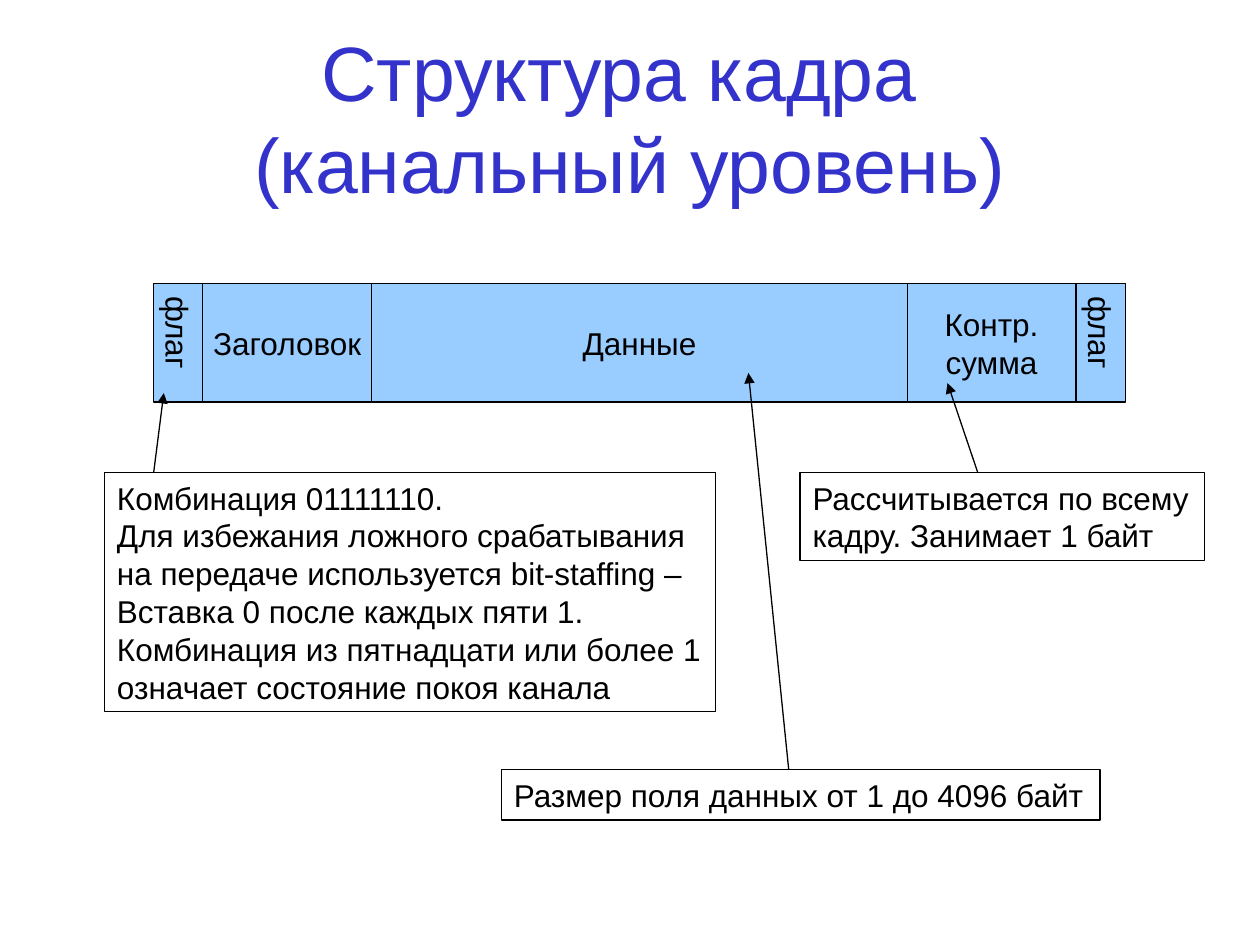
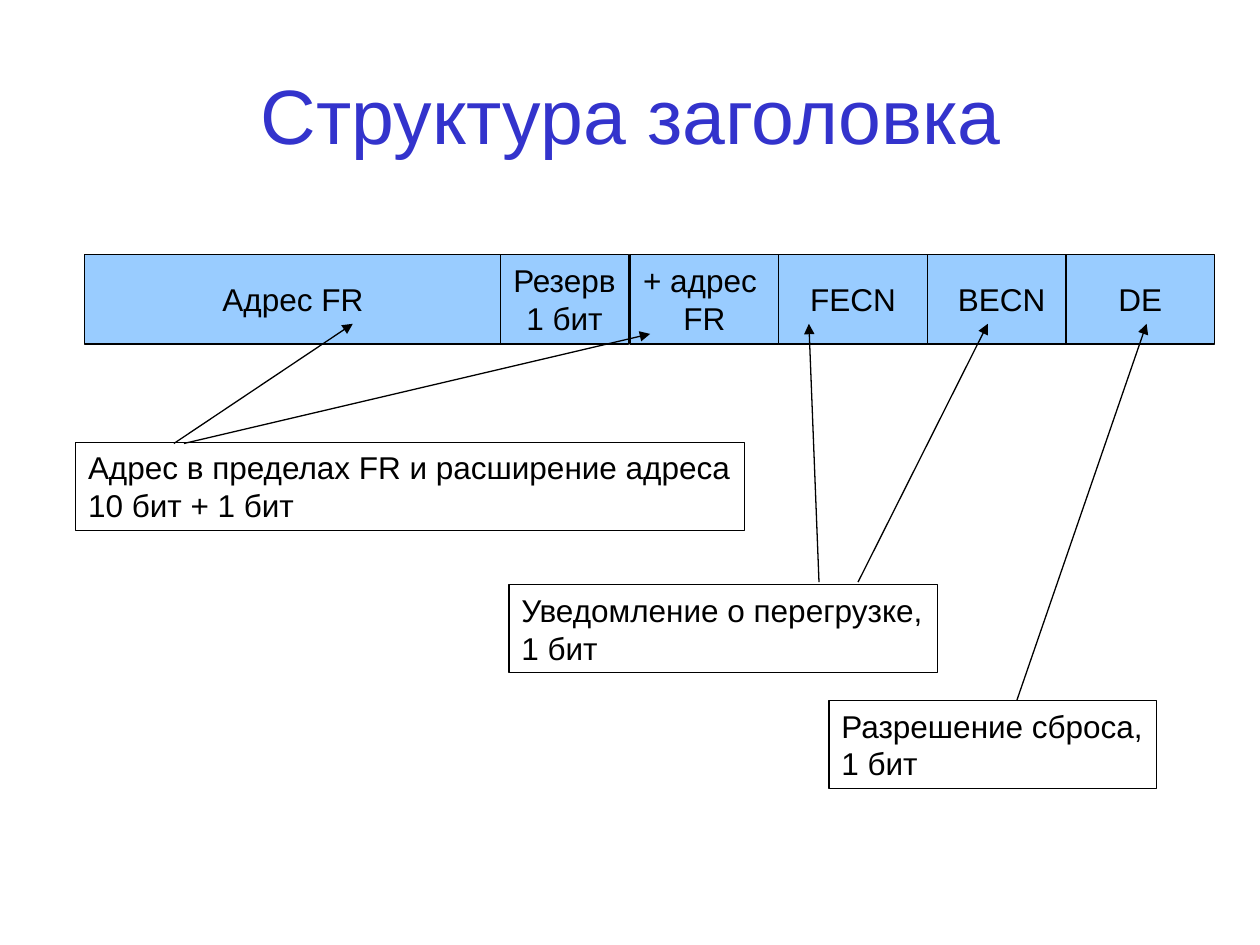
from pptx import Presentation
from pptx.dml.color import RGBColor
from pptx.enum.shapes import MSO_CONNECTOR, MSO_SHAPE
from pptx.enum.text import MSO_ANCHOR, MSO_AUTO_SIZE, PP_ALIGN
from pptx.oxml.ns import qn
from pptx.util import Inches, Pt
from lxml.etree import SubElement

TITLE_BLUE = RGBColor(0x33, 0x33, 0xCC)
FIELD_BLUE = RGBColor(0x99, 0xCC, 0xFF)
BLACK = RGBColor(0, 0, 0)
FONT_NAME = "Arial"
LINE_WIDTH = Pt(0.75)
LINE_HEIGHT = 0.3
TITLE_ONLY_LAYOUT = 5


def write_text(text_frame, text, size, color, alignment):
    text_frame.text = text
    for paragraph in text_frame.paragraphs:
        paragraph.alignment = alignment
        paragraph.font.name = FONT_NAME
        paragraph.font.size = Pt(size)
        paragraph.font.color.rgb = color


def add_titled_slide(presentation, title, left, top):
    slide = presentation.slides.add_slide(presentation.slide_layouts[TITLE_ONLY_LAYOUT])
    shape = slide.shapes.title
    shape.left, shape.top = Inches(left), Inches(top)
    shape.width, shape.height = Inches(9), Inches(1.25)
    shape.text_frame.auto_size = MSO_AUTO_SIZE.NONE
    shape.text_frame.vertical_anchor = MSO_ANCHOR.MIDDLE
    write_text(shape.text_frame, title, 44, TITLE_BLUE, PP_ALIGN.CENTER)
    return slide


def add_box(slide, text, left, top, width, height, alignment):
    """Add an outlined, unfilled rectangle with unwrapped text."""
    shape = slide.shapes.add_shape(
        MSO_SHAPE.RECTANGLE, Inches(left), Inches(top), Inches(width), Inches(height))
    shape.shadow.inherit = False
    shape.fill.background()
    shape.line.color.rgb = BLACK
    shape.line.width = LINE_WIDTH
    shape.text_frame.word_wrap = False
    write_text(shape.text_frame, text, 18, BLACK, alignment)
    return shape


def add_fields(slide, top, height, fields):
    """Draw the (text, left, width) fields of a frame in one row."""
    for text, left, width in fields:
        shape = add_box(slide, text, left, top, width, height, PP_ALIGN.CENTER)
        shape.fill.solid()
        shape.fill.fore_color.rgb = FIELD_BLUE
        text_frame = shape.text_frame
        text_frame.vertical_anchor = MSO_ANCHOR.MIDDLE
        if width < height / 2:
            text_frame.margin_left = text_frame.margin_right = Inches(0.05)
            text_frame.margin_top = text_frame.margin_bottom = Inches(0.1)
            text_frame._txBody.bodyPr.set("vert", "eaVert")


def add_callout(slide, text, left, top, width):
    height = 0.1 + LINE_HEIGHT * len(text.split("\n"))
    shape = add_box(slide, text, left, top, width, height, PP_ALIGN.LEFT)
    shape.text_frame.vertical_anchor = MSO_ANCHOR.TOP
    shape.text_frame.auto_size = MSO_AUTO_SIZE.SHAPE_TO_FIT_TEXT


def add_arrow(slide, start, end):
    connector = slide.shapes.add_connector(
        MSO_CONNECTOR.STRAIGHT, *(Inches(value) for value in start + end))
    connector.line.color.rgb = BLACK
    connector.line.width = LINE_WIDTH
    properties = connector._element.spPr
    SubElement(properties.find(qn("a:ln")), qn("a:tailEnd"), type="triangle")
    SubElement(properties, qn("a:effectLst"))


def add_frame_slide(presentation):
    slide = add_titled_slide(
        presentation, "Структура кадра \v(канальный уровень)", 0.5, 0.3)
    add_fields(slide, 2.25, 0.94, [
        ("флаг", 1.22, 0.39),
        ("Заголовок", 1.61, 1.34),
        ("Данные", 2.95, 4.25),
        ("Контр.\nсумма", 7.2, 1.34),
        ("флаг", 8.54, 0.39),
    ])
    flag_note = "\n".join([
        "Комбинация 01111110.",
        "Для избежания ложного срабатывания",
        "на передаче используется bit-staffing –",
        "Вставка 0 после каждых пяти 1.",
        "Комбинация из пятнадцати или более 1",
        "означает состояние покоя канала",
    ])
    add_callout(slide, flag_note, 0.83, 3.75, 4.85)
    add_callout(slide, "Размер поля данных от 1 до 4096 байт", 3.98, 6.11, 4.75)
    add_callout(slide, "Рассчитывается по всему\nкадру. Занимает 1 байт", 6.35, 3.75, 3.21)
    add_arrow(slide, (1.22, 3.75), (1.3, 3.12))
    add_arrow(slide, (6.26, 6.11), (5.94, 2.96))
    add_arrow(slide, (7.76, 3.75), (7.52, 3.04))


def add_header_slide(presentation):
    slide = add_titled_slide(presentation, "Структура заголовка", 0.51, 0.28)
    add_fields(slide, 2.02, 0.71, [
        ("Адрес FR", 0.67, 3.31),
        ("Резерв\n1 бит", 3.97, 1.02),
        ("+ адрес \nFR", 5, 1.18),
        ("FECN", 6.18, 1.18),
        ("BECN", 7.36, 1.18),
        ("DE", 8.46, 1.18),
    ])
    add_callout(slide, "Адрес в пределах FR и расширение адреса\n10 бит + 1 бит", 0.6, 3.51, 5.31)
    add_callout(slide, "Уведомление о перегрузке,\n1 бит", 4.04, 4.64, 3.4)
    add_callout(slide, "Разрешение сброса,\n1 бит", 6.58, 5.56, 2.6)
    add_arrow(slide, (1.38, 3.52), (2.8, 2.57))
    add_arrow(slide, (1.46, 3.52), (5.16, 2.65))
    add_arrow(slide, (6.5, 4.62), (6.42, 2.57))
    add_arrow(slide, (6.81, 4.62), (7.84, 2.57))
    add_arrow(slide, (8.07, 5.56), (9.1, 2.57))


def main():
    presentation = Presentation()
    presentation.slide_width = Inches(10)
    presentation.slide_height = Inches(7.5)
    add_frame_slide(presentation)
    add_header_slide(presentation)
    presentation.save("out.pptx")


if __name__ == "__main__":
    main()
